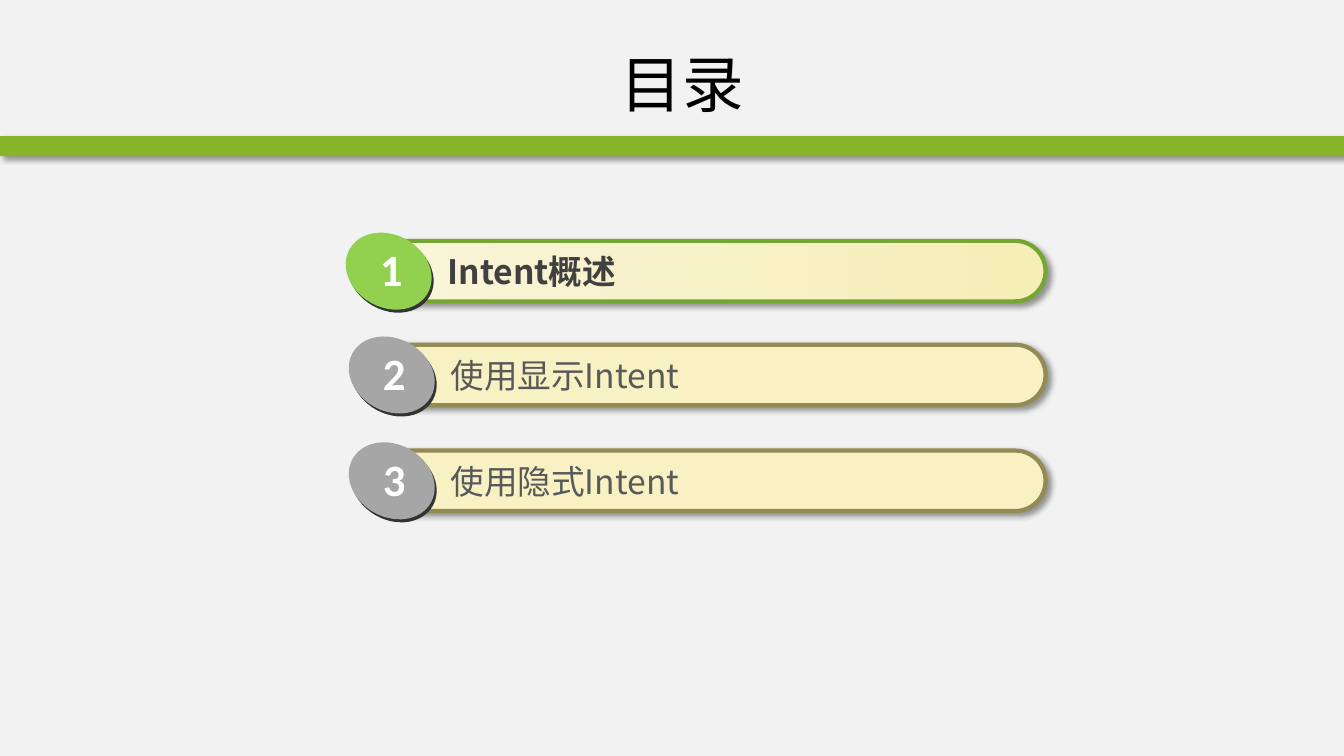
from lxml import etree
from pptx import Presentation
from pptx.dml.color import RGBColor
from pptx.enum.shapes import MSO_SHAPE as SHAPE
from pptx.enum.text import MSO_ANCHOR as ANCHOR, PP_ALIGN as ALIGN
from pptx.oxml import parse_xml
from pptx.oxml.ns import nsdecls, qn
from pptx.util import Pt

PX = 9144  # 100 px to the inch
CJK = "Noto Sans CJK SC"
PAPER = RGBColor(0xF2, 0xF2, 0xF2)
BAND = RGBColor(0x88, 0xB4, 0x29)
CREAM = RGBColor(0xF7, 0xF1, 0xC4)
CREAM_LIGHT = RGBColor(0xF9, 0xF5, 0xD9)
CREAM_DARK = RGBColor(0xF5, 0xEE, 0xB7)
GREEN_EDGE = RGBColor(0x74, 0xA7, 0x31)
BROWN_EDGE = RGBColor(0x94, 0x8A, 0x54)
LIME = RGBColor(0x92, 0xD0, 0x50)
GRAY = RGBColor(0xA6, 0xA6, 0xA6)
DARK = RGBColor(0x33, 0x33, 0x33)
TEXT_ACTIVE = RGBColor(0x40, 0x40, 0x40)
TEXT = RGBColor(0x59, 0x59, 0x59)
WHITE = RGBColor(0xFF, 0xFF, 0xFF)
BLACK = RGBColor(0, 0, 0)

SHADOW = (
    f'<a:outerShdw {nsdecls("a")} blurRad="50800" dist="38100" dir="2700000" '
    'algn="tl" rotWithShape="0"><a:srgbClr val="000000"><a:alpha val="40000"/>'
    '</a:srgbClr></a:outerShdw>'
)


def add_box(shapes, kind, box, color, shadow=False):
    sp = shapes.add_shape(kind, *(v * PX for v in box))
    sp.fill.solid()
    sp.fill.fore_color.rgb = color
    sp.line.fill.background()
    sp.shadow.inherit = False
    if shadow:
        effects = sp._element.spPr.find(qn("a:effectLst"))
        effects.append(parse_xml(SHADOW))
    return sp


def add_text(shapes, box, text, size, font, color, bold=False, wrap=True):
    sp = shapes.add_textbox(*(v * PX for v in box))
    tf = sp.text_frame
    tf.word_wrap = wrap
    tf.text = text
    r = tf.paragraphs[0].runs[0]
    r.font.size = Pt(size)
    r.font.name = font
    r.font.bold = bold
    r.font.color.rgb = color
    etree.SubElement(r.font._element, qn("a:ea")).set("typeface", font)
    return tf


prs = Presentation()
prs.slide_width = 1333 * PX
prs.slide_height = 750 * PX
slide = prs.slides.add_slide(prs.slide_layouts[6])
slide.background.fill.solid()
slide.background.fill.fore_color.rgb = PAPER

# Header band and title
add_box(slide.shapes, SHAPE.RECTANGLE, (0, 135, 1333, 20), BAND, shadow=True)
tf = add_text(slide.shapes, (139, 30, 1076, 105), "目录", 44, CJK, BLACK)
tf.vertical_anchor = ANCHOR.MIDDLE
tf.paragraphs[0].alignment = ALIGN.CENTER

# Contents entries: label, bar left and top, current chapter or not
entries = [
    ("Intent概述", 363, 239, True),
    ("使用显示Intent", 366, 342, False),
    ("使用隐式Intent", 366, 447, False),
]
for number, (label, x, y, active) in enumerate(entries, 1):
    shapes = slide.shapes.add_group_shape().shapes

    # Rounded bar
    bar = add_box(shapes, SHAPE.ROUNDED_RECTANGLE, (x, y, 1037 - x, 60), CREAM, shadow=True)
    bar.adjustments[0] = 0.5
    bar.line.color.rgb = GREEN_EDGE if active else BROWN_EDGE
    bar.line.width = Pt(3)
    if active:
        bar.fill.gradient()
        bar.fill.gradient_angle = 0
        for stop, color in zip(bar.fill.gradient_stops, (CREAM_LIGHT, CREAM_DARK)):
            stop.color.rgb = color
    add_text(shapes, (x + 71, y + 5, 535, 51), label, 24, CJK,
             TEXT_ACTIVE if active else TEXT, bold=active)

    # Tilted badge over its dark edge
    for dx, dy, color in ((-20, -3, DARK), (-22, -6, LIME if active else GRAY)):
        badge = add_box(shapes, SHAPE.OVAL, (x + dx, y + dy, 89, 72), color)
        badge.rotation = 29.3
    add_text(shapes, (x + 4, y - 4, 43, 64), str(number), 32, "Calibri", WHITE,
             bold=True, wrap=False)

prs.save("out.pptx")
